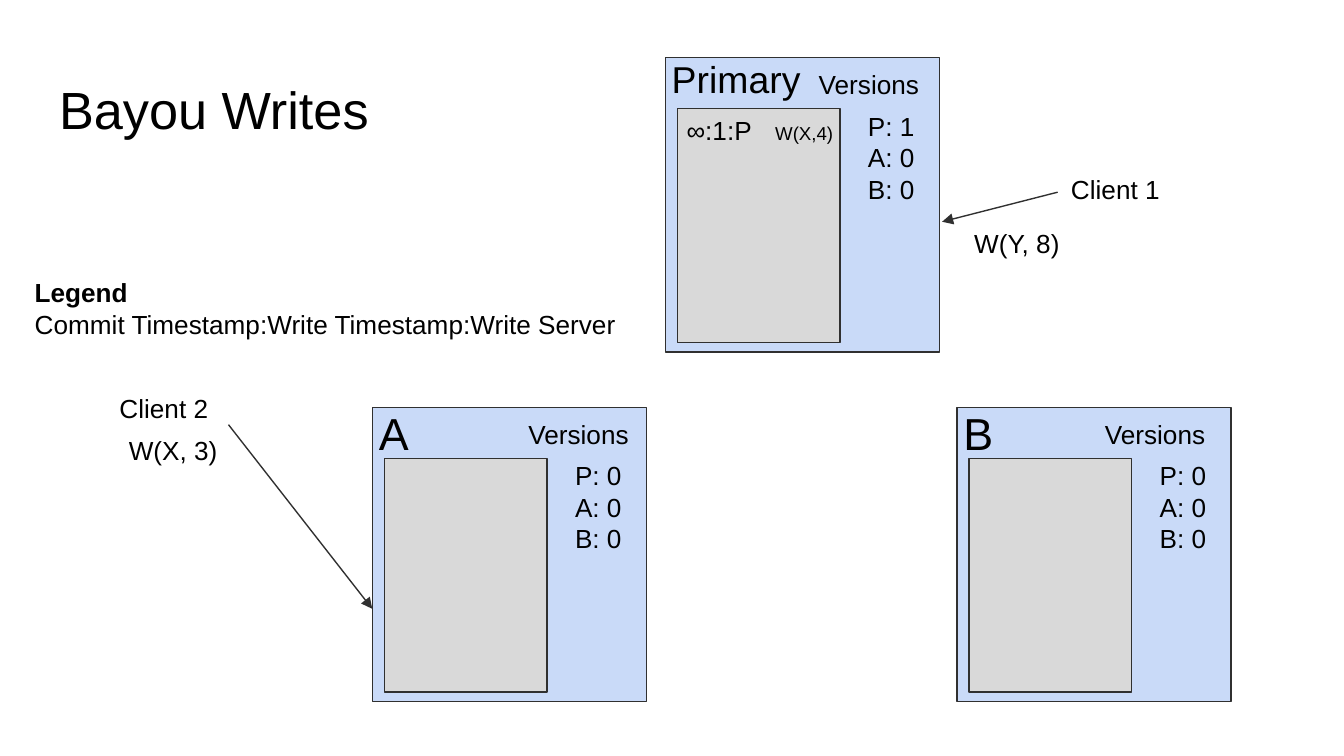
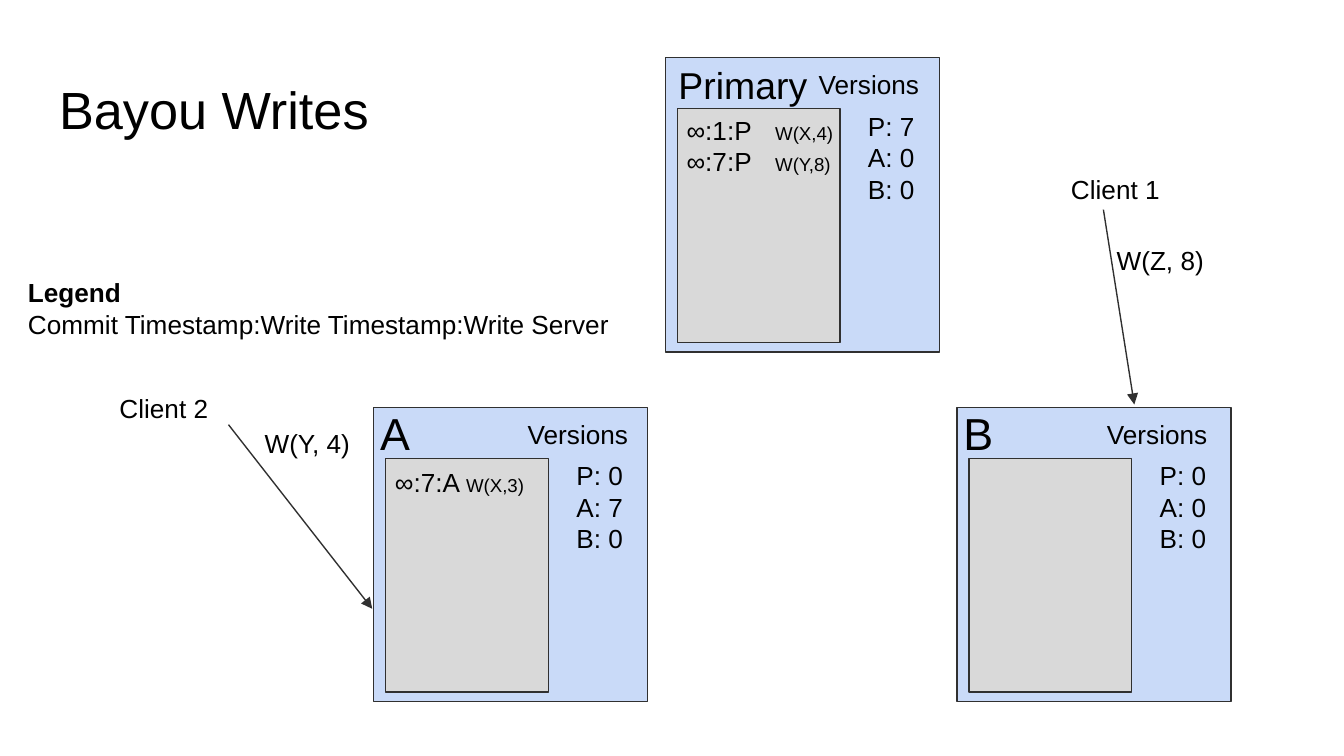
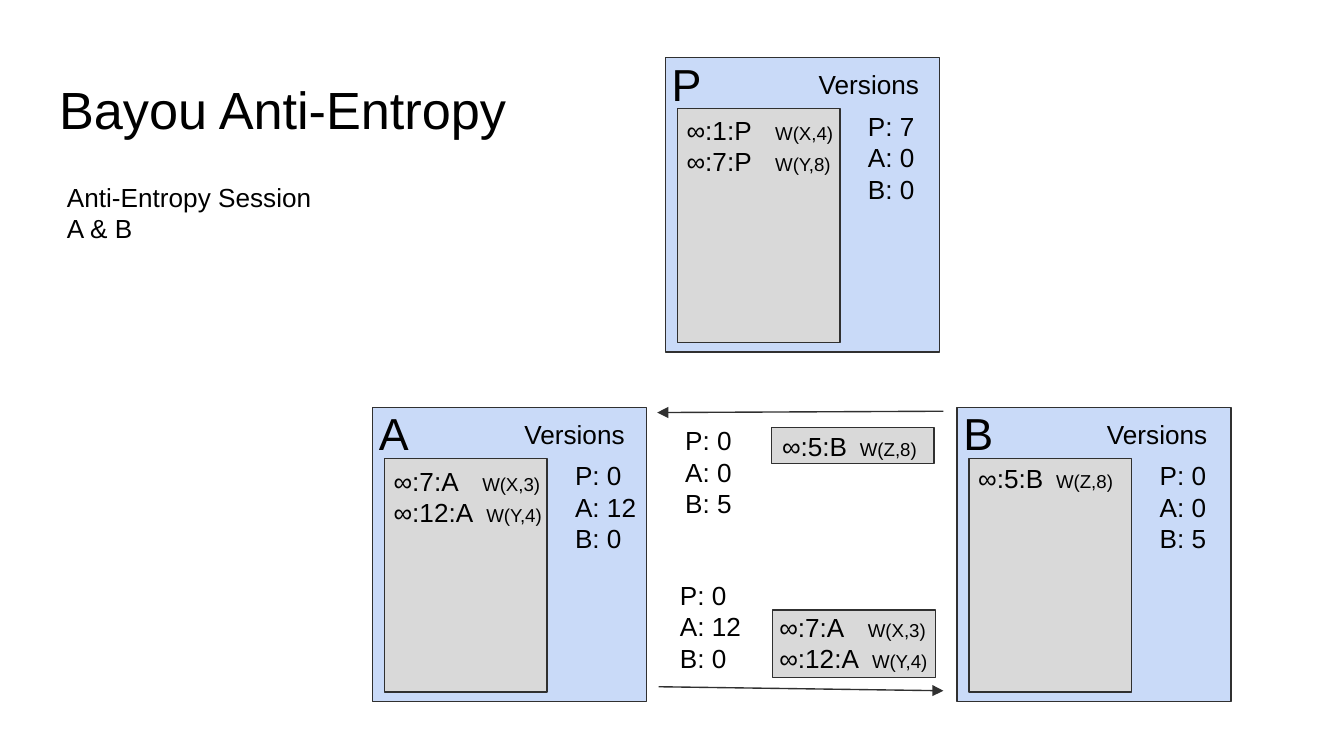
from dataclasses import dataclass

from lxml.etree import SubElement
from pptx import Presentation
from pptx.dml.color import RGBColor
from pptx.enum.shapes import MSO_CONNECTOR, MSO_SHAPE
from pptx.enum.text import MSO_ANCHOR, MSO_AUTO_SIZE, PP_ALIGN
from pptx.oxml.ns import qn
from pptx.shapes.shapetree import GroupShapes, SlideShapes
from pptx.slide import Slide
from pptx.text.text import TextFrame, _Paragraph
from pptx.util import Emu, Inches, Pt

# Shared look
BLACK = RGBColor(0x00, 0x00, 0x00)
OUTLINE = RGBColor(0x30, 0x30, 0x30)
SERVER_BLUE = RGBColor(0xC9, 0xDA, 0xF8)
LOG_GRAY = RGBColor(0xD9, 0xD9, 0xD9)
FONT = "Arial"
TITLE_SIZE, LETTER_SIZE, NAME_SIZE, BODY_SIZE, OPERATION_SIZE = 28, 24, 20, 14, 10
LINE_WIDTH = Pt(0.75)

# Square grid, 100 columns across the slide
SLIDE_WIDTH, SLIDE_HEIGHT = Inches(10), Inches(5.625)
CELL = SLIDE_WIDTH / 100
INSET = 1
SERVER_WIDTH, SERVER_HEIGHT = 20.4, 21.9
LOG_WIDTH, LOG_HEIGHT = 12.1, 17.4

Shapes = SlideShapes | GroupShapes
Point = tuple[float, float]


@dataclass(frozen=True)
class Place:
    column: float
    row: float
    columns: float
    rows: float

    def lengths(self) -> tuple[Emu, ...]:
        return tuple(cells(n) for n in (self.column, self.row, self.columns, self.rows))


@dataclass(frozen=True)
class Entry:
    stamp: str
    operation: str
    tab: float = 6.6


@dataclass(frozen=True)
class Note:
    place: Place
    lines: tuple[str, ...]
    bold_lines: int = 0


@dataclass(frozen=True)
class Server:
    name: str
    column: float
    row: float
    versions: tuple[int, int, int]
    heading_left: float
    entries: tuple[Entry, ...] = ()
    entries_top: float = 3.2
    name_shift: Point = (0, 0)


@dataclass(frozen=True)
class Arrow:
    start: Point
    end: Point


@dataclass(frozen=True)
class Message:
    box: Place
    text: Place
    entries: tuple[Entry, ...]


@dataclass(frozen=True)
class Page:
    title: str
    servers: tuple[Server, ...]
    notes: tuple[Note, ...]
    arrows: tuple[Arrow, ...]
    messages: tuple[Message, ...] = ()


def cells(count: float) -> Emu:
    return Emu(round(count * CELL))


def version_lines(versions: tuple[int, int, int]) -> tuple[str, ...]:
    return tuple(f"{name}: {count}" for name, count in zip("PAB", versions))


# Drawing
def style(paragraph: _Paragraph, size: float, bold: bool = False) -> None:
    font = paragraph.font
    font.name, font.size, font.bold = FONT, Pt(size), bold
    font.color.rgb = BLACK


def set_frame(frame: TextFrame) -> None:
    frame.word_wrap = True
    frame.auto_size = MSO_AUTO_SIZE.NONE
    frame.margin_left = frame.margin_right = cells(INSET)
    frame.margin_top = frame.margin_bottom = cells(INSET)


def add_frame(shapes: Shapes, place: Place) -> TextFrame:
    frame = shapes.add_textbox(*place.lengths()).text_frame
    set_frame(frame)
    return frame


def add_lines(shapes: Shapes, place: Place, lines: tuple[str, ...], size: float = BODY_SIZE,
              align: PP_ALIGN = PP_ALIGN.LEFT, bold_lines: int = 0) -> None:
    frame = add_frame(shapes, place)
    frame.text = "\n".join(lines)
    for index, paragraph in enumerate(frame.paragraphs):
        paragraph.alignment = align
        style(paragraph, size, index < bold_lines)


def add_entries(shapes: Shapes, place: Place, entries: tuple[Entry, ...]) -> None:
    frame = add_frame(shapes, place)
    for index, entry in enumerate(entries):
        paragraph = frame.add_paragraph() if index else frame.paragraphs[0]
        style(paragraph, BODY_SIZE)
        paragraph.add_run().text = f"{entry.stamp}\t"
        operation = paragraph.add_run()
        operation.text = entry.operation
        operation.font.size = Pt(OPERATION_SIZE)
        # Tab stop that lines up the operation
        properties = paragraph._p.get_or_add_pPr()
        tabs = SubElement(properties, qn("a:tabLst"))
        SubElement(tabs, qn("a:tab"), pos=str(cells(entry.tab)), algn="l")
        properties.insert(0, tabs)


def add_box(shapes: Shapes, place: Place, color: RGBColor) -> None:
    box = shapes.add_shape(MSO_SHAPE.RECTANGLE, *place.lengths())
    box.shadow.inherit = False
    box.fill.solid()
    box.fill.fore_color.rgb = color
    box.line.color.rgb = OUTLINE
    box.line.width = LINE_WIDTH


def add_server(slide: Slide, server: Server) -> None:
    shapes = slide.shapes.add_group_shape().shapes

    def inside(column: float, row: float, columns: float, rows: float) -> Place:
        return Place(server.column + column, server.row + row, columns, rows)

    add_box(shapes, inside(0, 0, SERVER_WIDTH, SERVER_HEIGHT), SERVER_BLUE)
    add_box(shapes, inside(0.9, 3.8, LOG_WIDTH, LOG_HEIGHT), LOG_GRAY)
    counts_width = 7.2 if max(server.versions) > 9 else 6.2
    add_lines(shapes, inside(14.1, 2.9, counts_width, 8.6), version_lines(server.versions))
    add_lines(shapes, inside(server.heading_left, -0.2, 20.6 - server.heading_left, 3.6),
              ("Versions",), align=PP_ALIGN.CENTER)
    letter = len(server.name) == 1
    across, down = server.name_shift
    add_lines(shapes, inside(across - 0.5, down - 1.1, 4.6 if letter else 12.4, 5.3 if letter else 4),
              (server.name,), LETTER_SIZE if letter else NAME_SIZE)
    if server.entries:
        add_entries(shapes, inside(0.6, server.entries_top, 13.1, 15.6), server.entries)


def add_arrow(slide: Slide, arrow: Arrow) -> None:
    ends = [cells(n) for n in (*arrow.start, *arrow.end)]
    connector = slide.shapes.add_connector(MSO_CONNECTOR.STRAIGHT, *ends)
    connector.line.color.rgb = OUTLINE
    connector.line.width = LINE_WIDTH
    SubElement(connector.line._get_or_add_ln(), qn("a:tailEnd"), type="triangle")
    SubElement(connector._element.spPr, qn("a:effectLst"))


def add_title(slide: Slide, text: str) -> None:
    title = slide.shapes.title
    title.left, title.top, title.width, title.height = Place(3.4, 4.9, 36.1, 6.3).lengths()
    frame = title.text_frame
    set_frame(frame)
    frame.vertical_anchor = MSO_ANCHOR.MIDDLE
    frame.text = text
    frame.paragraphs[0].alignment = PP_ALIGN.LEFT
    style(frame.paragraphs[0], TITLE_SIZE)


def add_page(presentation: Presentation, page: Page) -> None:
    slide = presentation.slides.add_slide(presentation.slide_layouts.get_by_name("Title Only"))
    add_title(slide, page.title)
    for server in page.servers:
        add_server(slide, server)
    for arrow in page.arrows:
        add_arrow(slide, arrow)
    for message in page.messages:
        add_box(slide.shapes, message.box, LOG_GRAY)
        add_entries(slide.shapes, message.text, message.entries)
    for note in page.notes:
        add_lines(slide.shapes, note.place, note.lines, bold_lines=note.bold_lines)


# Content
def primary(name: str, count: int, entries: tuple[Entry, ...], shift: Point = (0, 0)) -> Server:
    return Server(name, 49.5, 4.3, (count, 0, 0), 9.7, entries, name_shift=shift)


def legend(column: float) -> Note:
    lines = ("Legend", "Commit Timestamp:Write Timestamp:Write Server")
    return Note(Place(column, 19.6, 47.4, 8.9), lines, bold_lines=1)


def request(column: float, row: float, operation: str) -> Note:
    return Note(Place(column, row, 13.8, 6.5), (operation,))


LOWER_ROW, B_COLUMN = 30.3, 71.2
CLIENT_1 = Note(Place(78.7, 11.9, 9.2, 4.2), ("Client 1",))
CLIENT_2 = Note(Place(7.9, 28.2, 9.2, 4.2), ("Client 2",))
CLIENT_2_ARROW = Arrow((17, 31.6), (27.7, 45.3))
PRIMARY_ENTRIES = (Entry("∞:1:P", "W(X,4)"), Entry("∞:7:P", "W(Y,8)"))
A_ENTRIES = (Entry("∞:7:A", "W(X,3)"), Entry("∞:12:A", "W(Y,4)", 6.9))
B_ENTRIES = (Entry("∞:5:B", "W(Z,8)", 5.8),)

PAGES = (
    Page(
        "Bayou Writes",
        (
            primary("Primary", 1, PRIMARY_ENTRIES[:1]),
            Server("A", 27.7, LOWER_ROW, (0, 0, 0), 10.1),
            Server("B", B_COLUMN, LOWER_ROW, (0, 0, 0), 8.9),
        ),
        (CLIENT_1, request(71.5, 15.9, "W(Y, 8)"), legend(1.6),
         CLIENT_2, request(8.6, 31.3, "W(X, 3)")),
        (Arrow((78.7, 14.3), (70.1, 16.5)), CLIENT_2_ARROW),
    ),
    Page(
        "Bayou Writes",
        (
            primary("Primary", 7, PRIMARY_ENTRIES, (0.5, 0.4)),
            Server("A", 27.8, LOWER_ROW, (0, 7, 0), 9.8, (Entry("∞:7:A", "W(X,3)", 5.3),), 3.4),
            Server("B", B_COLUMN, LOWER_ROW, (0, 0, 0), 9.2),
        ),
        (CLIENT_1, request(82.1, 17.2, "W(Z, 8)"), legend(1.1),
         CLIENT_2, request(18.7, 30.8, "W(Y, 4)")),
        (Arrow((82.1, 15.6), (84.4, 30.1)), CLIENT_2_ARROW),
    ),
    Page(
        "Bayou Anti-Entropy",
        (
            primary("P", 7, PRIMARY_ENTRIES),
            Server("A", 27.7, LOWER_ROW, (0, 12, 0), 9.5, A_ENTRIES, 3.3),
            Server("B", B_COLUMN, LOWER_ROW, (0, 0, 5), 9.2, B_ENTRIES, 3.1),
        ),
        (
            Note(Place(49.6, 42.1, 7.2, 8.6), version_lines((0, 12, 0))),
            Note(Place(50, 30.6, 6.2, 8.6), version_lines((0, 0, 5))),
            Note(Place(4, 12.5, 20.6, 7.2), ("Anti-Entropy Session", "A & B")),
        ),
        (Arrow((70.2, 30.6), (48.9, 30.7)), Arrow((49, 51.1), (70.2, 51.4))),
        (
            Message(Place(57.4, 31.8, LOG_WIDTH, 2.7), Place(57.2, 31, 12.5, 4.2), B_ENTRIES),
            Message(Place(57.5, 45.4, LOG_WIDTH, 5), Place(57, 44.5, 13.3, 6.3), A_ENTRIES),
        ),
    ),
)


def main() -> None:
    presentation = Presentation()
    presentation.slide_width, presentation.slide_height = SLIDE_WIDTH, SLIDE_HEIGHT
    for page in PAGES:
        add_page(presentation, page)
    presentation.save("out.pptx")


if __name__ == "__main__":
    main()
